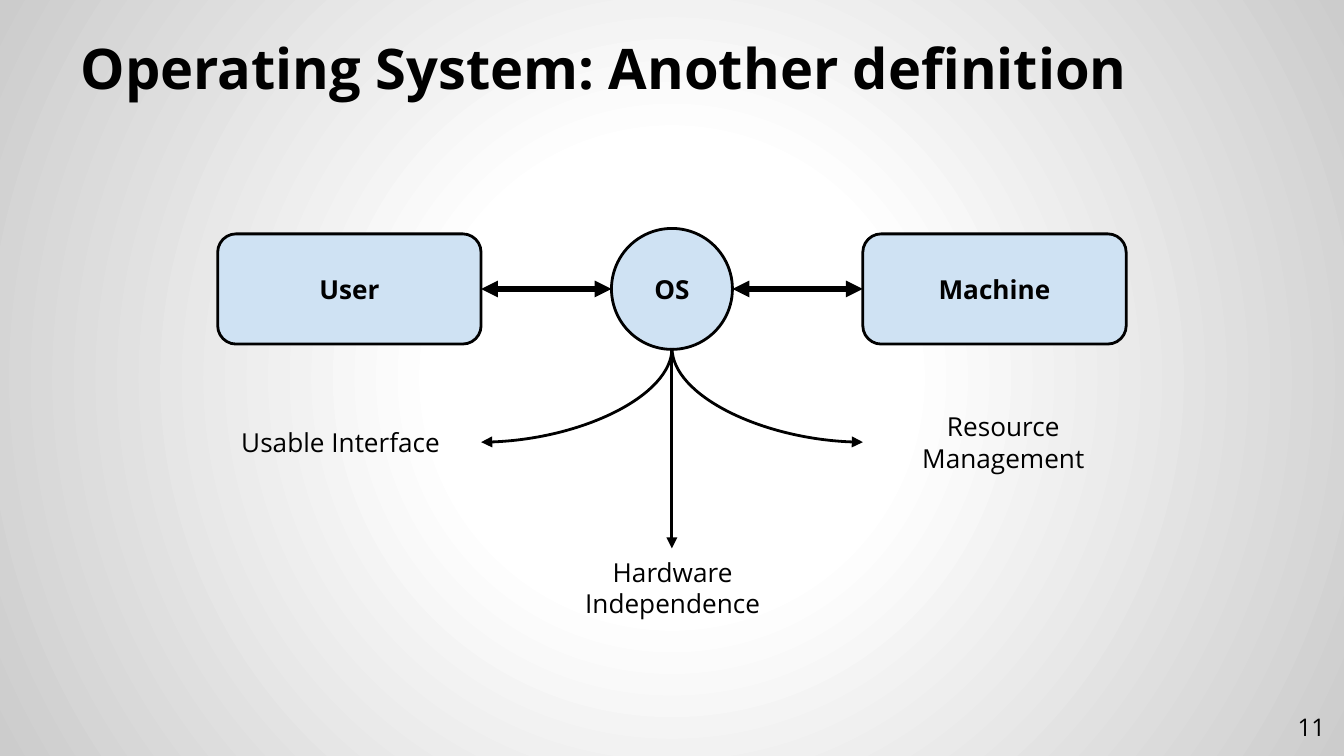
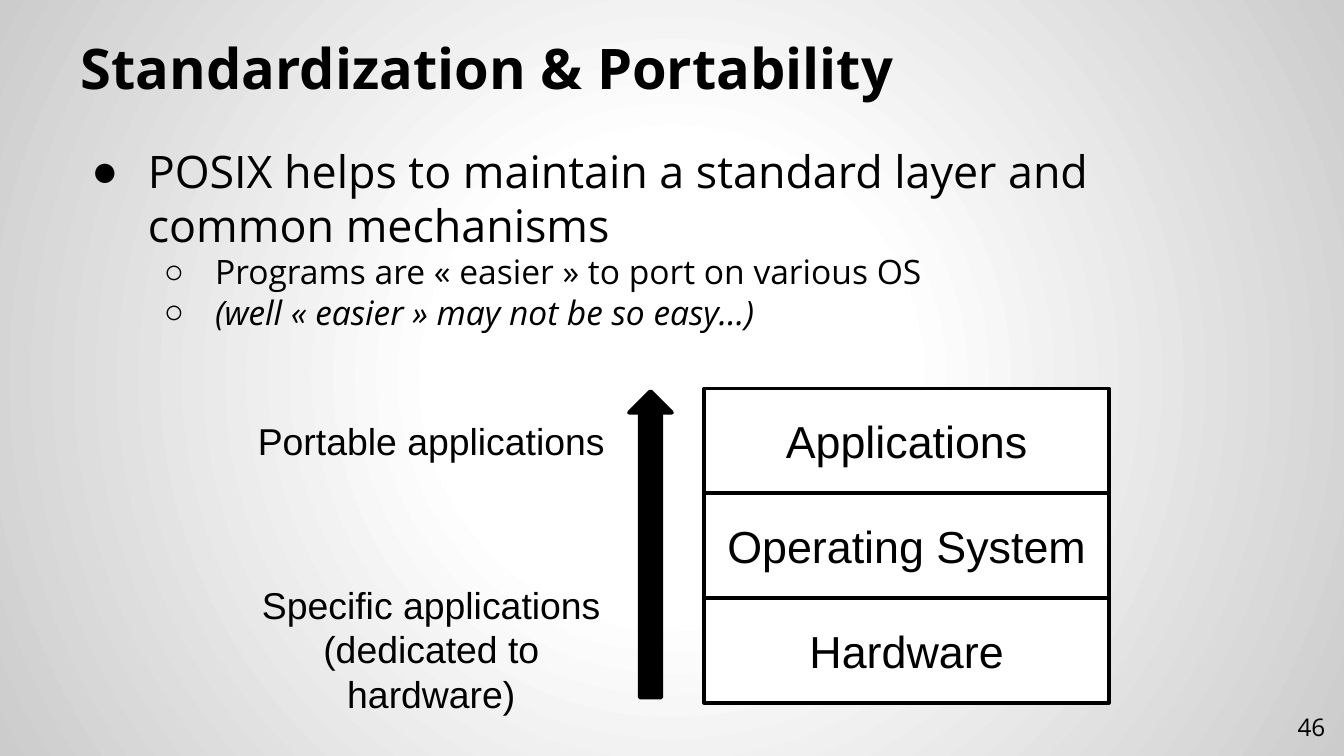
"""Build two operating system slides: a definition diagram and a portability stack."""
from lxml import etree
from pptx import Presentation
from pptx.dml.color import RGBColor
from pptx.enum.shapes import MSO_CONNECTOR as Link, MSO_SHAPE as Preset
from pptx.enum.text import MSO_ANCHOR as Anchor, MSO_AUTO_SIZE as AutoSize, PP_ALIGN as Align
from pptx.oxml import parse_xml
from pptx.oxml.ns import nsdecls, qn
from pptx.util import Inches, Pt

BLACK = RGBColor(0x00, 0x00, 0x00)
WHITE = RGBColor(0xFF, 0xFF, 0xFF)
GREY = RGBColor(0xCC, 0xCC, 0xCC)
PALE_BLUE = RGBColor(0xCF, 0xE2, 0xF3)

TITLE = {"name": "Open Sans", "size": Pt(30), "bold": True}
NODE = {"name": "Open Sans", "size": Pt(14), "bold": True}
ROLE = {"name": "Open Sans", "size": Pt(14), "bold": False}
PAGE = {"name": "Open Sans", "size": Pt(13)}
LAYER = {"name": "Arial", "size": Pt(24)}
SCOPE = {"name": "Arial", "size": Pt(20)}
POINT = {"name": "Open Sans", "size": Pt(24), "italic": False}
SUBPOINT = {"name": "Open Sans", "size": Pt(18), "italic": False}
ASIDE = SUBPOINT | {"italic": True}
BULLETS = [("●", 0.5, -0.42), ("○", 1, -0.38)]


def apply(target, formats):
    """Set each format value on the target."""
    for key, value in formats.items():
        setattr(target, key, value)


def place(shape, left, top, width, height):
    """Move and size a shape in inches."""
    box = {"left": left, "top": top, "width": width, "height": height}
    apply(shape, {key: Inches(value) for key, value in box.items()})


def write(paragraph, text, font, align):
    """Write one formatted run in a paragraph."""
    paragraph.alignment = align
    run = paragraph.add_run()
    run.text = text
    apply(run.font, font)
    run.font.color.rgb = BLACK


def set_frame(frame, anchor, margin_y=0.1):
    """Set wrapping, anchor and insets of a text frame."""
    apply(frame, {"word_wrap": True, "auto_size": AutoSize.NONE, "vertical_anchor": anchor,
                  "margin_left": Inches(0.1), "margin_right": Inches(0.1),
                  "margin_top": Inches(margin_y), "margin_bottom": Inches(margin_y)})


def fill_frame(frame, lines, font, align=Align.CENTER, anchor=Anchor.MIDDLE, margin_y=0.1):
    """Fill a text frame with one paragraph per line."""
    set_frame(frame, anchor, margin_y)
    for index, line in enumerate(lines):
        paragraph = frame.add_paragraph() if index else frame.paragraphs[0]
        write(paragraph, line, font, align)


def add_label(slide, box, lines, font, **layout):
    """Add a text box."""
    label = slide.shapes.add_textbox(*map(Inches, box))
    fill_frame(label.text_frame, lines, font, **layout)


def add_block(slide, preset, box, fill, weight, text="", font=NODE):
    """Add a filled, outlined shape with centred text."""
    block = slide.shapes.add_shape(preset, *map(Inches, box))
    block.shadow.inherit = False
    block.fill.solid()
    block.fill.fore_color.rgb = fill
    block.line.color.rgb = BLACK
    block.line.width = Pt(weight)
    if text:
        fill_frame(block.text_frame, [text], font)
    return block


def add_arrow(slide, start, end, weight, both_ends=False, kind=Link.STRAIGHT):
    """Add a connector with triangle arrowheads."""
    arrow = slide.shapes.add_connector(kind, *map(Inches, (*start, *end)))
    arrow.line.color.rgb = BLACK
    arrow.line.width = Pt(weight)
    properties = arrow.element.spPr
    outline = properties.find(qn("a:ln"))
    for tag in ["a:headEnd", "a:tailEnd"] if both_ends else ["a:tailEnd"]:
        etree.SubElement(outline, qn(tag), type="triangle")
    etree.SubElement(properties, qn("a:effectLst"))
    return arrow


def add_bend(slide, start, end, weight):
    """Add an arrow that leaves downwards and curves towards its end."""
    (x1, y1), (x2, y2) = start, end
    mid_x, mid_y = (x1 + x2) / 2, (y1 + y2) / 2
    half_w, half_h = (y2 - y1) / 2, abs(x2 - x1) / 2
    side = 1 if x2 >= x1 else -1
    bend = add_arrow(slide, (mid_x + side * half_w, mid_y - half_h),
                     (mid_x - side * half_w, mid_y + half_h), weight, kind=Link.CURVE)
    properties = bend.element.spPr
    if x1 != x2:
        properties.find(qn("a:prstGeom")).set("prst", "curvedConnector2")
    properties.find(qn("a:xfrm")).set("rot", str((270 if side > 0 else 90) * 60000))


def add_bullet(paragraph, level):
    """Give a paragraph the bullet and indents of its level."""
    symbol, margin, indent = BULLETS[level]
    paragraph.level = level
    properties = paragraph._p.get_or_add_pPr()
    properties.set("marL", str(Inches(margin)))
    properties.set("indent", str(Inches(indent)))
    colour = etree.SubElement(properties, qn("a:buClr"))
    etree.SubElement(colour, qn("a:srgbClr"), val=str(BLACK))
    etree.SubElement(properties, qn("a:buFont"), typeface="Arial")
    etree.SubElement(properties, qn("a:buChar"), char=symbol)


def fill_body(body, points):
    """Fill the body placeholder with (level, text, font) points."""
    place(body, 0.5, 0.97, 9, 4.41)
    set_frame(body.text_frame, Anchor.TOP)
    for index, (level, text, font) in enumerate(points):
        paragraph = body.text_frame.add_paragraph() if index else body.text_frame.paragraphs[0]
        add_bullet(paragraph, level)
        paragraph.space_before = Pt(0)
        write(paragraph, text, font, Align.LEFT)


def set_background(master):
    """Give the master a radial white to grey background."""
    master.background.fill.solid()
    background = master.element.find(".//" + qn("p:bgPr"))
    stops = "".join(f'<a:gs pos="{position * 1000}"><a:srgbClr val="{colour}"/></a:gs>'
                    for position, colour in [(0, WHITE), (30, WHITE), (100, GREY)])
    gradient = parse_xml(
        f'<a:gradFill {nsdecls("a")}><a:gsLst>{stops}</a:gsLst><a:path path="circle">'
        '<a:fillToRect l="50000" t="50000" r="50000" b="50000"/></a:path></a:gradFill>')
    background.replace(background.find(qn("a:solidFill")), gradient)


def add_slide(deck, layout, title, number):
    """Add a slide with its title and page number."""
    slide = deck.slides.add_slide(deck.slide_layouts.get_by_name(layout))
    heading = slide.shapes.title
    place(heading, 0.5, 0.23, 9, 0.62)
    fill_frame(heading.text_frame, [title], TITLE, Align.LEFT, Anchor.BOTTOM)
    add_label(slide, (9.36, 5.19, 0.6, 0.43), [number], PAGE, align=Align.RIGHT)
    return slide


def build_definition(deck):
    """Show the operating system between user and machine."""
    slide = add_slide(deck, "Title Only", "Operating System: Another definition", "11")
    for left, party in [(1.62, "User"), (6.42, "Machine")]:
        add_block(slide, Preset.ROUNDED_RECTANGLE, (left, 1.74, 1.96, 0.82), PALE_BLUE, 1.5, party)
    add_block(slide, Preset.OVAL, (4.55, 1.7, 0.9, 0.9), PALE_BLUE, 1.5, "OS")
    for start, end in [(3.58, 4.55), (5.45, 6.42)]:
        add_arrow(slide, (start, 2.15), (end, 2.15), 3, both_ends=True)
    for left, top, role in [(1.49, 3, "Usable Interface"), (3.96, 4.08, "Hardware Independence"),
                            (6.42, 3, "Resource Management")]:
        add_label(slide, (left, top, 2.09, 0.58), [role], ROLE)
    for role_edge in [(3.58, 3.29), (6.42, 3.29), (5, 4.08)]:
        add_bend(slide, (5, 2.59), role_edge, 1.5)


def build_portability(deck):
    """Show the POSIX points beside the layer stack."""
    slide = add_slide(deck, "Title and Content", "Standardization & Portability", "46")
    fill_body(slide.placeholders[1], [
        (0, "POSIX helps to maintain a standard layer and common mechanisms", POINT),
        (1, "Programs are « easier » to port on various OS", SUBPOINT),
        (1, "(well « easier » may not be so easy…)", ASIDE)])
    for index, layer in enumerate(["Applications", "Operating System", "Hardware"]):
        add_block(slide, Preset.RECTANGLE, (5.24, 2.89 + index * 0.78, 3.01, 0.78),
                  WHITE, 2, layer, LAYER)
    add_block(slide, Preset.DOWN_ARROW, (4.68, 2.91, 0.32, 2.28), BLACK, 2).rotation = 180
    for top, height, scope in [
            (3.06, 0.44, ["Portable applications"]),
            (4.28, 1.11, ["Specific applications", "(dedicated to hardware)"])]:
        add_label(slide, (1.74, top, 2.94, height), scope, SCOPE, anchor=Anchor.TOP, margin_y=0.05)


def main():
    """Build and save the deck."""
    deck = Presentation()
    width = Inches(10)
    apply(deck, {"slide_width": width, "slide_height": width * 9 // 16})
    set_background(deck.slide_master)
    build_definition(deck)
    build_portability(deck)
    deck.save("out.pptx")


if __name__ == "__main__":
    main()
